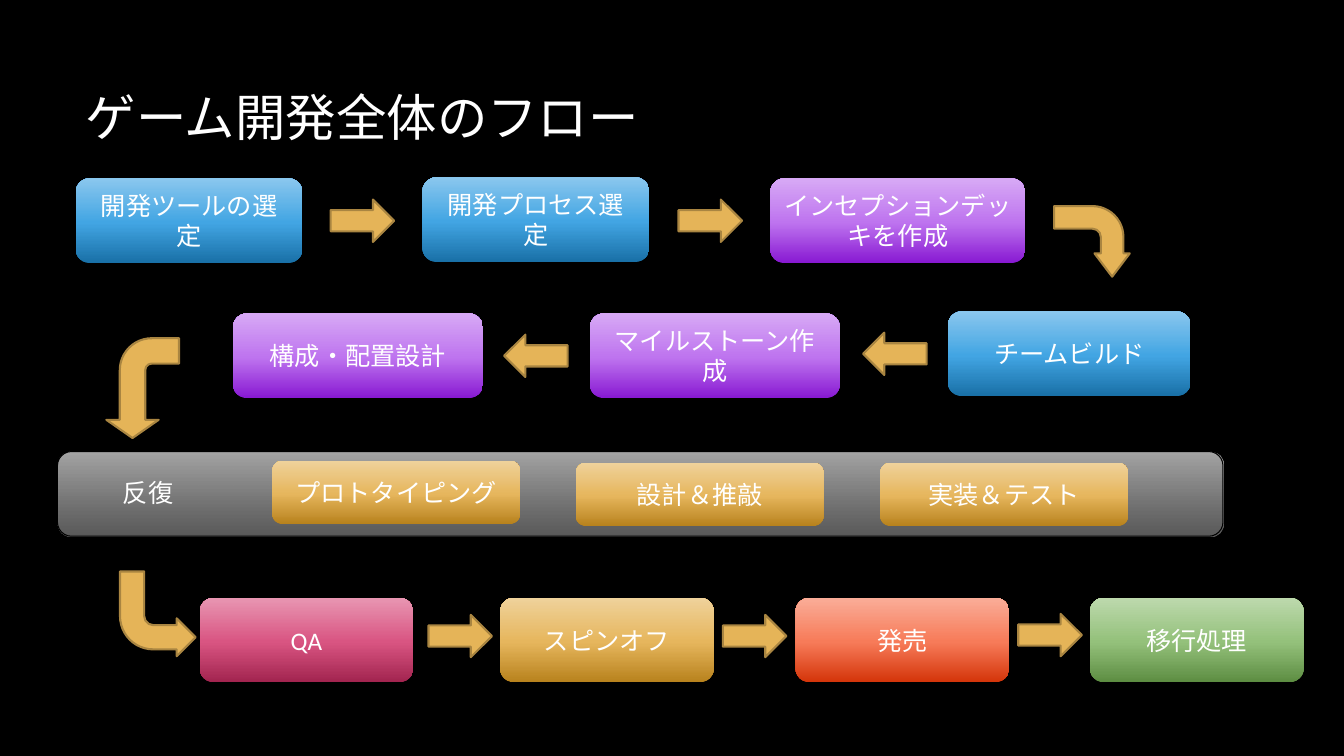
"""Build a one-slide flow chart of the whole game development process."""
from dataclasses import dataclass

from lxml.etree import SubElement
from pptx import Presentation
from pptx.dml.color import RGBColor
from pptx.enum.shapes import MSO_SHAPE
from pptx.enum.text import MSO_ANCHOR, MSO_AUTO_SIZE, PP_ALIGN
from pptx.oxml.ns import qn
from pptx.util import Pt

EMU_PER_PX = 9144


@dataclass(frozen=True)
class Theme:
    """Colours, font and type sizes of the slide."""
    font: str = "Calibri"
    title_size: int = 36
    body_size: int = 18
    text: str = "FFFFFF"
    back: str = "000000"
    arrow: str = "E5B458"
    arrow_line: str = "A98541"
    blue: tuple = ((0, "1970A7"), (48, "42A5E3"), (100, "8AC7EE"))
    purple: tuple = ((0, "8819D2"), (48, "BE74EF"), (100, "D7A9F5"))
    gold: tuple = ((0, "B8821D"), (48, "E6B65D"), (100, "EFD29B"))
    pink: tuple = ((0, "A2244F"), (48, "D95582"), (100, "E896B2"))
    red: tuple = ((0, "D4350A"), (48, "F77B59"), (100, "FAAD98"))
    green: tuple = ((0, "5D8D42"), (48, "94C17B"), (100, "BDD9AD"))
    grey: tuple = ((0, "A6A6A6"), (100, "797979", 74))


class FlowSlide:
    """Draws the elements of one slide in one theme."""

    def __init__(self, prs, theme):
        self.theme = theme
        self.slide = prs.slides.add_slide(prs.slide_layouts[5])
        fill = self.slide.background.fill
        fill.solid()
        fill.fore_color.rgb = RGBColor.from_string(theme.back)

    def emu(self, *lengths):
        return [px * EMU_PER_PX for px in lengths]

    def add_text(self, tf, text, size, align):
        p = tf.paragraphs[0]
        p.alignment = align
        r = p.add_run()
        r.text = text
        r.font.name = self.theme.font
        r.font.size = Pt(size)
        r.font.color.rgb = RGBColor.from_string(self.theme.text)

    def title(self, text, x, y, w, h):
        sp = self.slide.shapes.title
        sp.left, sp.top, sp.width, sp.height = self.emu(x, y, w, h)
        sp.text_frame.vertical_anchor = MSO_ANCHOR.MIDDLE
        self.add_text(sp.text_frame, text, self.theme.title_size, PP_ALIGN.LEFT)

    def label(self, text, x, y, w, h):
        tf = self.slide.shapes.add_textbox(*self.emu(x, y, w, h)).text_frame
        tf.word_wrap = False
        tf.auto_size = MSO_AUTO_SIZE.SHAPE_TO_FIT_TEXT
        self.add_text(tf, text, self.theme.body_size, PP_ALIGN.LEFT)

    def shape(self, kind, x, y, w, h):
        sp = self.slide.shapes.add_shape(kind, *self.emu(x, y, w, h))
        sp.shadow.inherit = False
        return sp

    def outline(self, sp, color, width):
        sp.line.color.rgb = RGBColor.from_string(color)
        sp.line.width = Pt(width)

    def gradient(self, sp, stops, angle):
        sp.fill.gradient()
        grad = sp.element.spPr.find(qn("a:gradFill"))
        gs_lst = grad.find(qn("a:gsLst"))
        for gs in list(gs_lst):
            gs_lst.remove(gs)
        for pos, color, *alpha in stops:
            gs = SubElement(gs_lst, qn("a:gs"), pos=str(pos * 1000))
            clr = SubElement(gs, qn("a:srgbClr"), val=color)
            for percent in alpha:
                SubElement(clr, qn("a:alpha"), val=str(percent * 1000))
        grad.find(qn("a:lin")).set("ang", str(angle * 60000))

    def bar(self, x, y, w, h):
        sp = self.shape(MSO_SHAPE.ROUNDED_RECTANGLE, x, y, w, h)
        self.gradient(sp, self.theme.grey, 90)
        self.outline(sp, self.theme.back, 0.75)

    def step(self, text, stops, x, y, w, h=84):
        sp = self.shape(MSO_SHAPE.ROUNDED_RECTANGLE, x, y, w, h)
        self.gradient(sp, stops, 270)
        sp.line.fill.background()
        tf = sp.text_frame
        tf.word_wrap = True
        tf.vertical_anchor = MSO_ANCHOR.MIDDLE
        self.add_text(tf, text, self.theme.body_size, PP_ALIGN.CENTER)

    def arrow(self, x, y, w=63, h=42, rot=0, bend=(), flip=False):
        kind = MSO_SHAPE.BENT_ARROW if bend else MSO_SHAPE.RIGHT_ARROW
        sp = self.shape(kind, x, y, w, h)
        for i, value in enumerate(bend):
            sp.adjustments[i] = value
        sp.rotation = rot
        if flip:
            sp.element.spPr.get_or_add_xfrm().set("flipV", "1")
        sp.fill.solid()
        sp.fill.fore_color.rgb = RGBColor.from_string(self.theme.arrow)
        self.outline(sp, self.theme.arrow_line, 1.5)


def main():
    theme = Theme()
    prs = Presentation()
    prs.slide_width, prs.slide_height = 1333 * EMU_PER_PX, 750 * EMU_PER_PX
    s = FlowSlide(prs, theme)
    s.title("ゲーム開発全体のフロー", 75, 67, 1108, 96)
    s.bar(57, 448, 1156, 84)
    s.label("反復", 112, 469, 71, 40)

    planning = [
        ("開発ツールの選定", theme.blue, 75, 177, 225),
        ("開発プロセス選定", theme.blue, 419, 176, 225),
        ("インセプションデッキを作成", theme.purple, 764, 177, 253),
        ("チームビルド", theme.blue, 940, 309, 241),
        ("マイルストーン作成", theme.purple, 585, 311, 248),
        ("構成・配置設計", theme.purple, 231, 311, 248),
    ]
    for step in planning:
        s.step(*step)

    iteration = [("プロトタイピング", 270, 457), ("設計＆推敲", 571, 459),
                 ("実装＆テスト", 873, 459)]
    for text, x, y in iteration:
        s.step(text, theme.gold, x, y, 246, 63)

    release = [("QA", theme.pink, 198), ("スピンオフ", theme.gold, 496),
               ("発売", theme.red, 789), ("移行処理", theme.green, 1081)]
    for text, stops, x in release:
        s.step(text, stops, x, 593, 212)

    for x, y in [(328, 198), (673, 198), (425, 610), (717, 610), (1010, 609)]:
        s.arrow(x, y)
    for x, y in [(856, 330), (500, 332)]:
        s.arrow(x, y, rot=180)
    s.arrow(1048, 202, 70, 75, 90, (0.32, 0.25, 0.33, 0.44))
    s.arrow(92, 349, 99, 72, 90, (0.35, 0.36, 0.25, 0.44), True)
    s.arrow(119, 567, 75, 84, 0, (0.32, 0.25, 0.25, 0.44), True)
    prs.save("out.pptx")


if __name__ == "__main__":
    main()
